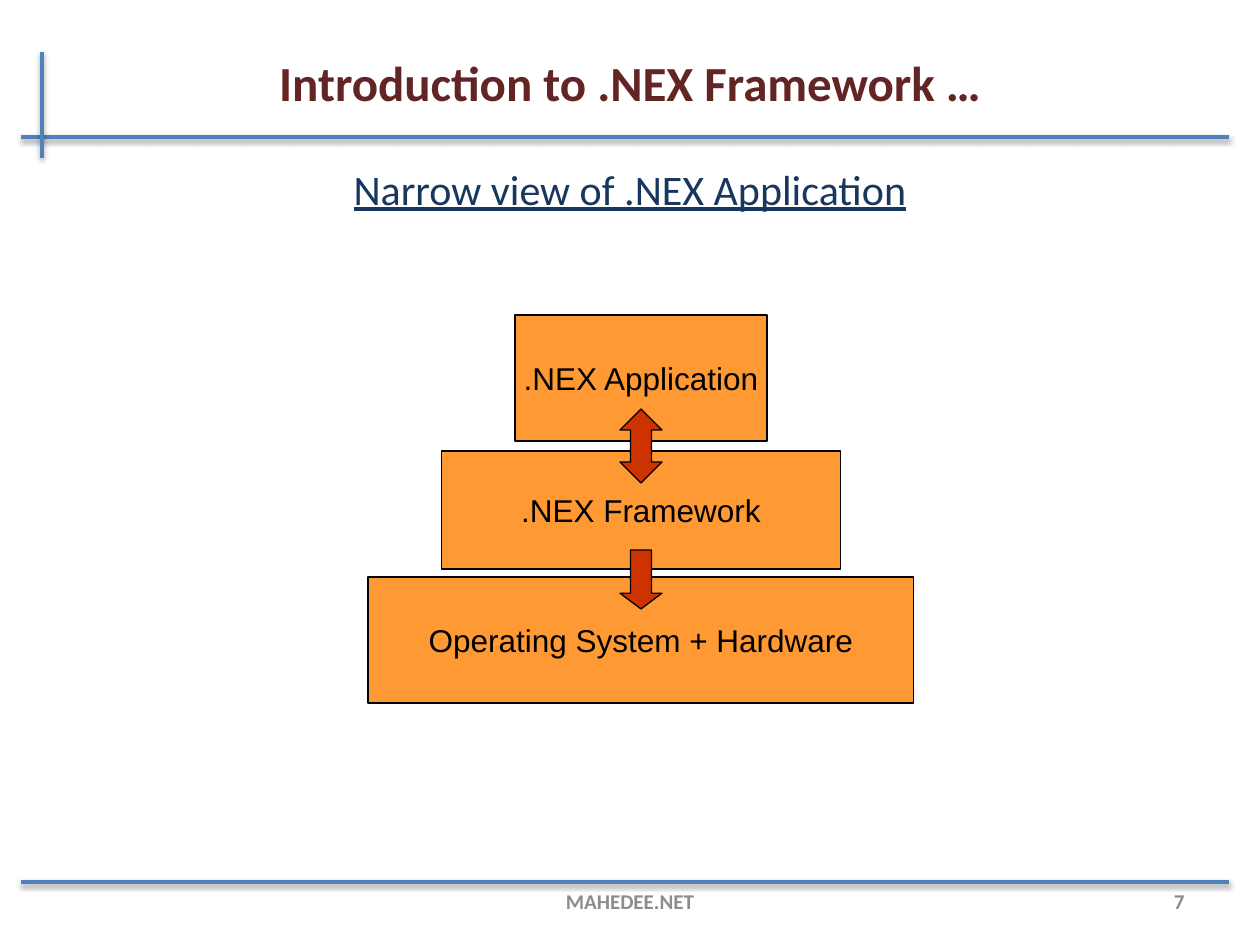
from lxml import etree
from pptx import Presentation
from pptx.dml.color import RGBColor
from pptx.enum.shapes import MSO_CONNECTOR, MSO_SHAPE
from pptx.enum.text import MSO_ANCHOR, PP_ALIGN
from pptx.oxml.ns import qn
from pptx.util import Emu, Pt

PX = 914400 // 126
W, H = 1260, 945
MARGIN = 42
COLORS = {
    "title": "632523", "subtitle": "17375E", "rule": "4F81BD",
    "footer": "8C8C8C", "layer": "FF9933", "arrow": "CC3300", "black": "000000",
}


def px(n):
    return Emu(round(n * PX))


def rgb(name):
    return RGBColor.from_string(COLORS[name])


def set_text(sp, text, size, color, font="Calibri", bold=False,
             align=PP_ALIGN.CENTER, anchor=MSO_ANCHOR.MIDDLE, wrap=True):
    tf = sp.text_frame
    tf.word_wrap = wrap
    tf.vertical_anchor = anchor
    p = tf.paragraphs[0]
    p.text = text
    p.alignment = align
    p.font.name, p.font.size, p.font.bold = font, Pt(size), bold
    p.font.color.rgb = rgb(color)
    return p


def add_text(s, box, text, size, color, **style):
    sp = s.shapes.add_textbox(*map(px, box))
    return set_text(sp, text, size, color, **style)


def add_rule(s, x1, y1, x2, y2):
    line = s.shapes.add_connector(MSO_CONNECTOR.STRAIGHT, *map(px, (x1, y1, x2, y2)))
    line.line.color.rgb = rgb("rule")
    line.line.width = Pt(2)
    # Soft shadow below the line
    effects = etree.SubElement(line._element.spPr, qn("a:effectLst"))
    shadow = etree.SubElement(effects, qn("a:outerShdw"), blurRad=str(Pt(3.1)),
                              dist=str(Pt(1.6)), dir="5400000", rotWithShape="0")
    color = etree.SubElement(shadow, qn("a:srgbClr"), val=COLORS["black"])
    etree.SubElement(color, qn("a:alpha"), val="38000")


def add_filled(s, kind, box, fill):
    sp = s.shapes.add_shape(kind, *map(px, box))
    sp.shadow.inherit = False
    sp.fill.solid()
    sp.fill.fore_color.rgb = rgb(fill)
    sp.line.color.rgb = rgb("black")
    sp.line.width = Pt(0.75)
    return sp


def add_header(s, x, y, w, h):
    add_text(s, (x, y, w, h), "Introduction to .NEX Framework …", 28, "title", bold=True)
    add_rule(s, x - 21, y + 99, x + w + 11, y + 99)
    add_rule(s, x, y + 14, x, y + 120)


def add_subtitle(s, x, y, w, h):
    p = add_text(s, (x, y, w, h), "Narrow view of .NEX Application", 24, "subtitle",
                 anchor=MSO_ANCHOR.TOP)
    p.font.underline = True


def add_footer(s, x, y, w, h):
    add_rule(s, x - 21, y + 6, x + w + 11, y + 6)
    add_text(s, (x + (w - 400) // 2, y, 400, h), "MAHEDEE.NET", 12, "footer", bold=True)
    add_text(s, (x + w - 315, y, 294, h), "7", 12, "footer", bold=True,
             align=PP_ALIGN.RIGHT)


def add_stack(s, x, y, w):
    """Centred layers, widest at the bottom, with arrows over the gaps."""
    middle = x + w / 2

    def layer(text, top, width, height):
        sp = add_filled(s, MSO_SHAPE.RECTANGLE,
                        (middle - width / 2, y + top, width, height), "layer")
        set_text(sp, text, 18, "black", font="Arial", wrap=False)

    def arrow(kind, top, height, adjustments):
        sp = add_filled(s, kind, (middle - 21, y + top, 42, height), "arrow")
        for i, value in enumerate(adjustments):
            sp.adjustments[i] = value

    layer("Operating System + Hardware", 262, w, 126)
    layer(".NEX Framework", 136, 399, 118)
    arrow(MSO_SHAPE.DOWN_ARROW, 235, 59, (0.5, 0.375))
    layer(".NEX Application", 0, 252, 126)
    # The two-way arrow takes its head length before its shaft width
    arrow(MSO_SHAPE.UP_DOWN_ARROW, 94, 74, (0.35, 0.5))


def main():
    prs = Presentation()
    prs.slide_width, prs.slide_height = px(W), px(H)
    s = prs.slides.add_slide(prs.slide_layouts[6])
    width = W - 2 * MARGIN
    add_header(s, MARGIN, 38, width, 88)
    add_subtitle(s, MARGIN, 157, width, 714)
    add_footer(s, MARGIN, 876, width, 50)
    add_stack(s, 368, 315, 546)
    prs.save("out.pptx")


if __name__ == "__main__":
    main()
